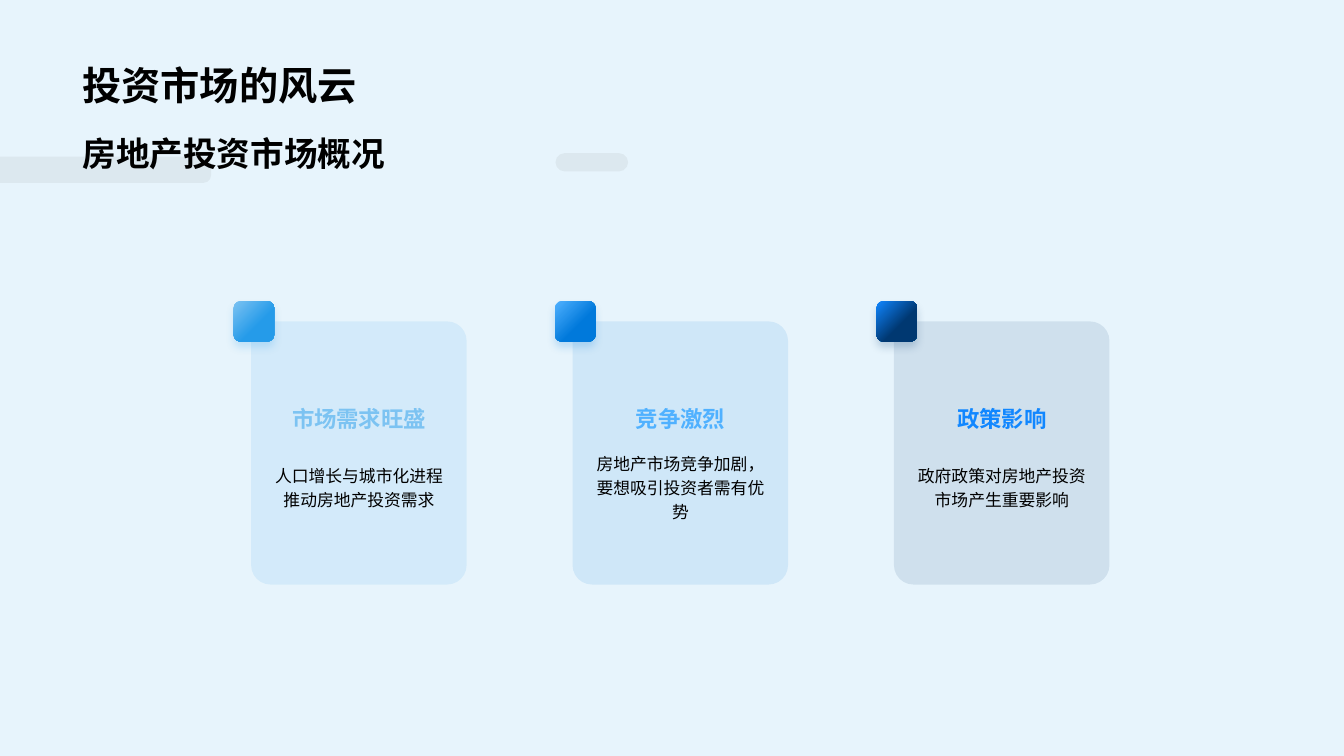
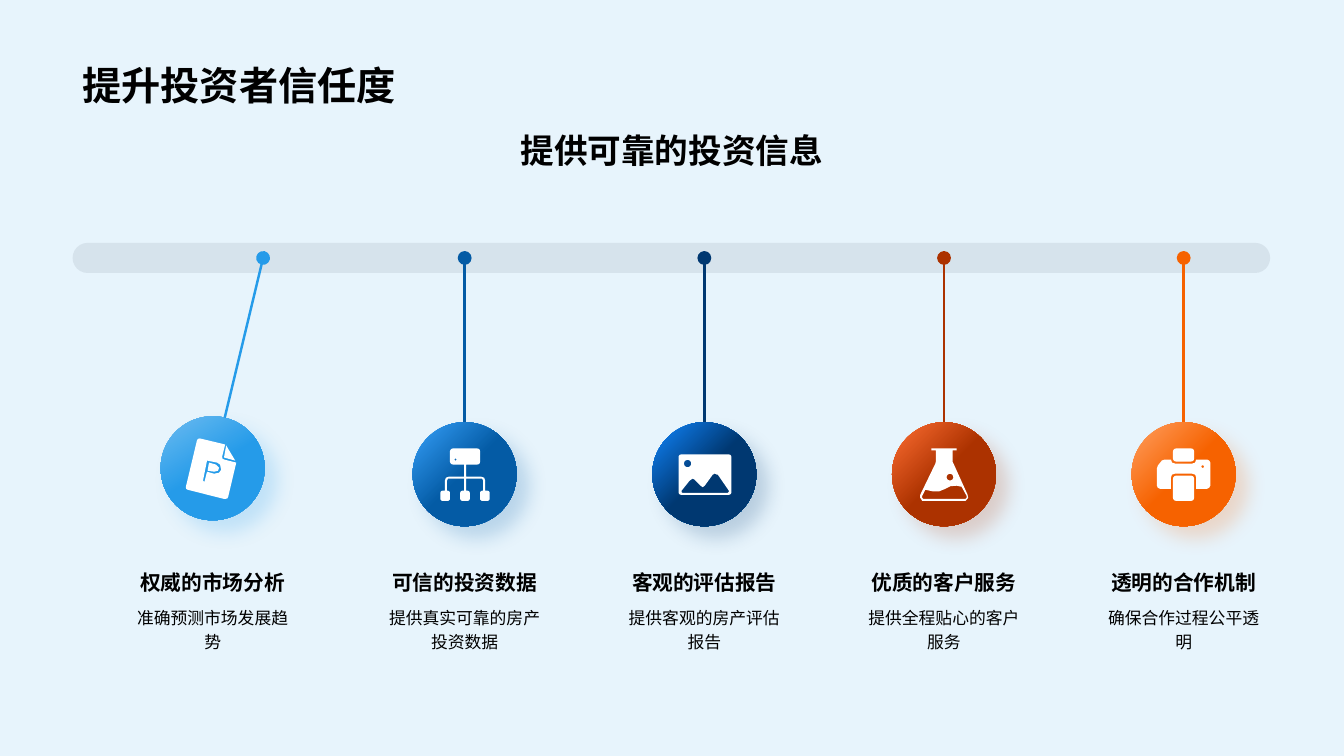
import math

import lxml.etree
import pptx
import pptx.dml.color
import pptx.enum.lang
import pptx.enum.shapes
import pptx.enum.text
import pptx.oxml.ns
import pptx.util

Cm = pptx.util.Cm
Pt = pptx.util.Pt
qn = pptx.oxml.ns.qn
SHAPE = pptx.enum.shapes.MSO_SHAPE
ALIGN = pptx.enum.text.PP_ALIGN
ANCHOR = pptx.enum.text.MSO_ANCHOR
LANG = pptx.enum.lang.MSO_LANGUAGE_ID

FONT = "Arial"
INK = "000000"
WHITE = "FFFFFF"
BACKDROP = "E7F4FC"
GREY = "808080"
BAR = "778495"
MARGIN = 1.83
CONTENT_W = 30.18
ICON_UNIT = 0.0254

CARDS = [
    ("市场需求旺盛", "人口增长与城市化进程推动房地产投资需求", "7CC3F2", "259BE9"),
    ("竞争激烈", "房地产市场竞争加剧，要想吸引投资者需有优势", "50B1FF", "0079DB"),
    ("政策影响", "政府政策对房地产投资市场产生重要影响", "1187FF", "003871"),
]


def rgb(value):
    """Return a colour from a hex string."""
    return pptx.dml.color.RGBColor.from_string(value)


def sub(parent, tag, **attrs):
    """Append a DrawingML element to a parent."""
    el = lxml.etree.SubElement(parent, qn(tag))
    for name, value in attrs.items():
        el.set(name, str(value))
    return el


def set_gradient(fill, start, end, stop):
    """Fill diagonally from one colour to another, reached at the given stop."""
    fill.gradient()
    fill.gradient_angle = 315
    for gs, color, position in zip(fill.gradient_stops, (start, end), (0, stop)):
        gs.color.rgb = rgb(color)
        gs.position = position


def add_shadow(sp, color, blur, dist, angle):
    """Give a shape a soft shadow at 20 percent opacity."""
    effects = sp._element.spPr.find(qn("a:effectLst"))
    shadow = sub(effects, "a:outerShdw", blurRad=Pt(blur), dist=Pt(dist),
                 dir=angle * 60000, algn="ctr", rotWithShape=0)
    sub(sub(shadow, "a:srgbClr", val=color), "a:alpha", val=20000)


def set_plain(sp, color, opacity=100):
    """Give a shape a flat fill without outline or shadow."""
    sp.fill.solid()
    sp.fill.fore_color.rgb = rgb(color)
    if opacity < 100:
        clr = sp._element.spPr.find(qn("a:solidFill")).find(qn("a:srgbClr"))
        sub(clr, "a:alpha", val=opacity * 1000)
    sp.line.fill.background()
    sp.shadow.inherit = False


def add_shape(slide, kind, left, top, width, height, color, opacity=100, adj=()):
    """Add a flat preset shape."""
    sp = slide.shapes.add_shape(kind, Cm(left), Cm(top), Cm(width), Cm(height))
    for i, value in enumerate(adj):
        sp.adjustments[i] = value
    set_plain(sp, color, opacity)
    return sp


def add_text(slide, text, left, top, width, height, size=12, bold=False, gradient=None,
             align=ALIGN.CENTER, anchor=ANCHOR.TOP, wrap=True, spacing=None, inset_y=0.13):
    """Add a one-paragraph text box."""
    tf = slide.shapes.add_textbox(Cm(left), Cm(top), Cm(width), Cm(height)).text_frame
    tf.word_wrap = wrap
    tf.vertical_anchor = anchor
    tf.margin_top = tf.margin_bottom = Cm(inset_y)
    p = tf.paragraphs[0]
    p.alignment = align
    p.line_spacing = spacing
    r = p.add_run()
    r.text = text
    r.font.size = Pt(size)
    r.font.bold = bold
    r.font.name = FONT
    r.font.language_id = LANG.SIMPLIFIED_CHINESE
    if gradient:
        set_gradient(r.font.fill, *gradient)
    else:
        r.font.color.rgb = rgb(INK)
    sub(r._r.rPr, "a:ea", typeface=FONT)


def circle(cx, cy, radius):
    """Return the contour of a circle."""
    angles = [math.radians(a) for a in range(0, 360, 15)]
    return [(cx + radius * math.cos(a), cy + radius * math.sin(a)) for a in angles]


def round_rect(left, top, width, height, radius):
    """Return the contour of a rounded rectangle."""
    corners = [(left + width - radius, top + height - radius), (left + radius, top + height - radius),
               (left + radius, top + radius), (left + width - radius, top + radius)]
    return [(cx + radius * math.cos(math.radians(a)), cy + radius * math.sin(math.radians(a)))
            for i, (cx, cy) in enumerate(corners) for a in range(90 * i, 90 * i + 91, 30)]


def document_icon():
    """Return the contours of a lettered document."""
    return [
        [(64, 28), (61, 40), (61.3, 42), (63, 43), (75, 46), (67, 80), (66, 81.7), (63, 82),
         (27, 73), (25.3, 72), (25, 70), (36, 24), (37, 22.4), (39, 22)],
        [(56, 46), (46, 44), (42, 64), (43.5, 65), (46, 55), (53, 57), (58, 56), (60, 53), (59, 48)],
        [(48, 46), (55, 48), (58, 51), (57, 54), (53, 55), (46.5, 54)],
        [(74, 44), (63, 41), (63, 40), (65, 29)],
    ]


def tree_icon():
    """Return the contours of an organisation tree."""
    branch = [(51, 54), (36, 54), (33, 55), (32, 58), (32, 68), (34, 68), (34, 58), (35, 56), (51, 56)]
    nodes = [round_rect(27.5 + 19.7 * i, 68, 9.5, 10, 2) for i in range(3)]
    return [round_rect(37, 26, 30, 16, 3), circle(42.5, 37, 1), branch,
            [(104 - x, y) for x, y in branch],
            [(51, 42), (53, 42), (53, 68), (51, 68)]] + nodes


def landscape_icon():
    """Return the contours of a framed landscape."""
    return [
        round_rect(26, 32, 52.5, 40, 2.5), circle(35, 41, 3.6),
        [(64, 52), (62, 51), (60, 52), (52, 63), (50, 64.5), (48, 63), (42, 57), (40, 56),
         (37, 58), (29, 68), (29, 69.5), (30, 70), (75, 70), (76, 69), (76, 68), (65, 52)],
    ]


def flask_icon():
    """Return the contours of a half-filled flask."""
    return [
        [(39, 26), (64, 26), (64, 28), (60, 28), (60, 39), (61, 41), (75, 72), (75.5, 75),
         (73, 78), (30, 78), (28, 75), (28, 72), (43, 41), (43.5, 39), (43.5, 28), (39, 28)],
        [(53, 66), (47, 68.5), (40, 68.5), (33, 67), (30, 73), (30, 75), (31, 76),
         (73, 76), (74, 75), (74, 73), (69, 64), (64, 63), (58, 63.5)],
        circle(57.5, 54.5, 3.3),
    ]


def printer_icon():
    """Return the contours of a printer."""
    return [
        round_rect(41, 26, 21, 13, 3), round_rect(41, 53, 21, 25, 3), circle(70.5, 44, 1.3),
        [(39, 37), (40, 40), (43, 41), (60, 41), (63, 40), (64, 37), (75, 37), (77, 38), (78, 40),
         (78, 63), (77, 65), (75, 66), (64, 66), (64, 55), (63, 52), (60, 51), (43, 51), (40, 52),
         (39, 55), (39, 66), (28, 66), (26, 65), (25, 63), (25, 46), (26, 43), (30, 38), (33, 37)],
    ]


def add_icon(slide, contours, left, top):
    """Draw white contours measured from a disc's corner."""
    scaled = [[(round(x * 100), round(y * 100)) for x, y in c] for c in contours]
    fb = slide.shapes.build_freeform(*scaled[0][0], scale=Cm(ICON_UNIT) / 100)
    for i, points in enumerate(scaled):
        if i:
            fb.move_to(*points[0])
        fb.add_line_segments(points[1:], close=True)
    set_plain(fb.convert_to_shape(Cm(left), Cm(top)), WHITE)


def add_pin(slide, disc, x, y, color, tilt):
    """Draw a line from a disc's rim up to a round end."""
    radius = disc.width / 2
    angle = math.radians(tilt)
    x0 = disc.left + radius + radius * math.sin(angle)
    y0 = disc.top + radius - radius * math.cos(angle)
    con = slide.shapes.add_connector(pptx.enum.shapes.MSO_CONNECTOR.STRAIGHT,
                                     round(x0), round(y0), Cm(x), Cm(y))
    if not tilt:
        con.begin_connect(disc, 0)
    con.line.color.rgb = rgb(color)
    con.line.width = Pt(1.75)
    sub(con.line._get_or_add_ln(), "a:tailEnd", type="oval", w="lg", len="lg")
    sub(con._element.spPr, "a:effectLst")


def add_card(slide, left, top, heading, body, light, dark):
    """Draw a tinted card with a corner badge."""
    add_shape(slide, SHAPE.ROUNDED_RECTANGLE, left, top, 5.43, 6.63, dark, 10, [0.09])
    badge = add_shape(slide, SHAPE.ROUNDED_RECTANGLE, left - 0.44, top - 0.51, 1.02, 1.02, dark)
    set_gradient(badge.fill, light, dark, 0.6)
    add_shadow(badge, dark, 6, 4, 90)
    add_text(slide, heading, left + 0.33, top + 1.8, 4.78, 1.12, size=16, bold=True,
             gradient=(light, dark, 0.6), anchor=ANCHOR.BOTTOM, wrap=False)
    add_text(slide, body, left + 0.33, top + 3, 4.78, 2.28, anchor=ANCHOR.MIDDLE,
             spacing=1.2, inset_y=0.25)


def add_pendant(slide, center, top, pin_x, pin_y, heading, body, icon, light, dark, tilt=0):
    """Draw a disc hanging from a pin, with its caption."""
    size = 2.62
    left = center - size / 2
    disc_top = top - 0.15 if tilt else top
    disc = add_shape(slide, SHAPE.ROUNDED_RECTANGLE, left, disc_top, size, size, dark, adj=[0.5])
    set_gradient(disc.fill, light, dark, 0.5)
    add_shadow(disc, dark, 14, 12, 45)
    disc.rotation = tilt
    add_icon(slide, icon, left, disc_top)
    add_pin(slide, disc, pin_x, pin_y, dark, tilt)
    add_text(slide, heading, center - 2.6, top + 3.63, 5.2, 0.86, size=14.8, bold=True,
             anchor=ANCHOR.BOTTOM, wrap=False, spacing=0.9)
    add_text(slide, body, center - 2.18, top + 4.45, 4.36, 1.42, spacing=1.2)


def new_slide(prs, title):
    """Add a slide with the shared title."""
    slide = prs.slides.add_slide(prs.slide_layouts[6])
    add_text(slide, title, MARGIN, 0, CONTENT_W, 2.86, size=28, bold=True,
             align=ALIGN.LEFT, anchor=ANCHOR.BOTTOM)
    return slide


def market_slide(prs):
    """Build the market overview with three cards."""
    slide = new_slide(prs, "投资市场的风云")
    for i, card in enumerate(CARDS):
        add_card(slide, 6.33 + 8.1 * i, 8.1, *card)
    tab = add_shape(slide, SHAPE.ROUND_2_SAME_RECTANGLE, 2.33, 1.62, 0.66, 5.32, GREY, 10, [0.3, 0])
    tab.rotation = 90
    add_shape(slide, SHAPE.ROUNDED_RECTANGLE, 14, 3.86, 1.83, 0.46, GREY, 10, [0.5])
    add_text(slide, "房地产投资市场概况", MARGIN, 2.44, 14.15, 2.06, size=24, bold=True,
             align=ALIGN.LEFT, anchor=ANCHOR.BOTTOM)


def trust_slide(prs):
    """Build the trust overview with five pendants on a bar."""
    slide = new_slide(prs, "提升投资者信任度")
    add_text(slide, "提供可靠的投资信息", 5.64, 3.15, 22.58, 1.27, size=24, bold=True)
    add_shape(slide, SHAPE.ROUNDED_RECTANGLE, MARGIN, 6.12, CONTENT_W, 0.76, BAR, 15, [0.5])
    upright = [
        ("可信的投资数据", "提供真实可靠的房产投资数据", tree_icon(), "37A1FA", "045BA5"),
        ("客观的评估报告", "提供客观的房产评估报告", landscape_icon(), "1187FF", "003871"),
        ("优质的客户服务", "提供全程贴心的客户服务", flask_icon(), "FF6F34", "AC3200"),
        ("透明的合作机制", "确保合作过程公平透明", printer_icon(), "FFA061", "F66200"),
    ]
    for i, pendant in enumerate(upright):
        center = 11.71 + 6.04 * i
        add_pendant(slide, center, 10.64, center, 6.5, *pendant)
    add_pendant(slide, 5.36, 10.64, 6.63, 6.5, "权威的市场分析", "准确预测市场发展趋势",
                document_icon(), "7CC3F2", "259BE9", tilt=13.4)


def main():
    """Build and save the presentation."""
    prs = pptx.Presentation()
    prs.slide_width, prs.slide_height = Cm(33.87), Cm(19.05)
    fill = prs.slide_master.background.fill
    fill.solid()
    fill.fore_color.rgb = rgb(BACKDROP)
    market_slide(prs)
    trust_slide(prs)
    prs.save("out.pptx")


if __name__ == "__main__":
    main()
